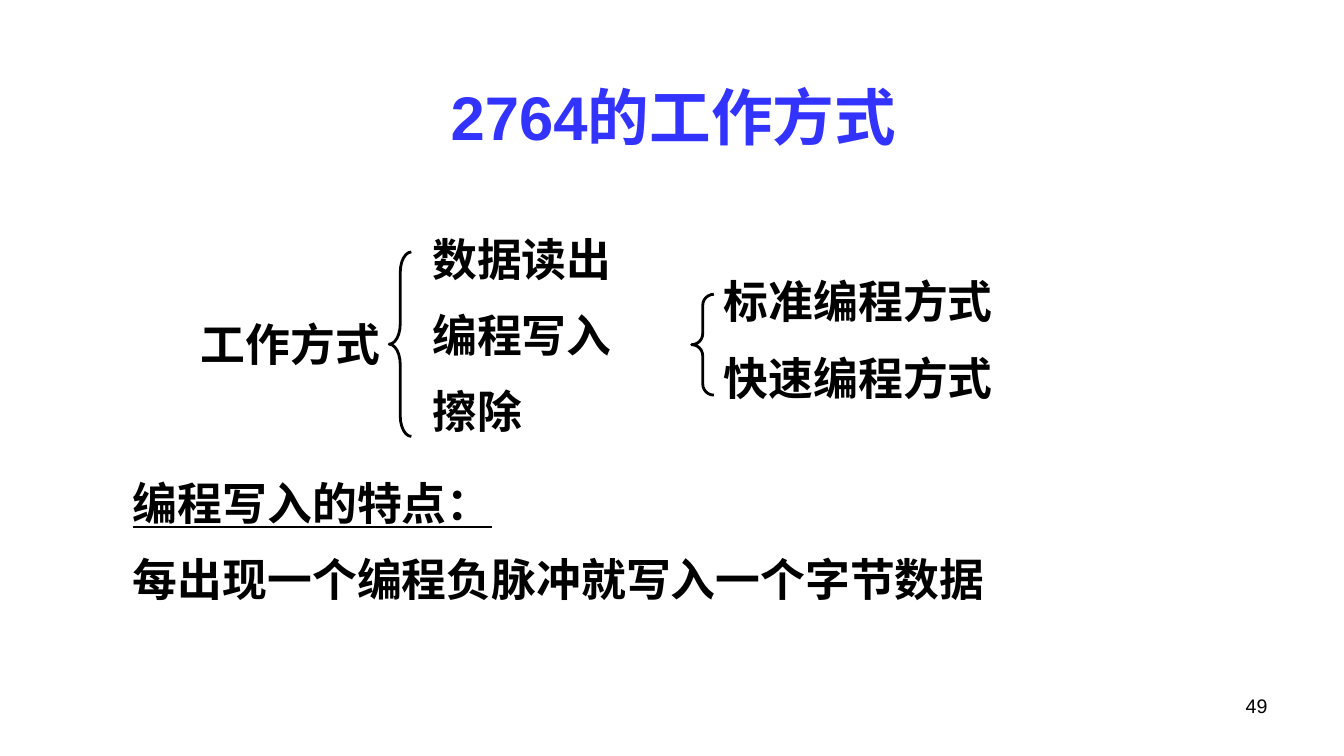
"""Build the slide on the working modes of the 2764 chip."""
from pptx import Presentation, util as u
from pptx.dml.color import RGBColor
from pptx.enum import shapes, text

COLORS = {"title": "3333FF", "ink": "000000"}

deck = Presentation()
deck.slide_width, deck.slide_height = u.Inches(13.33), u.Inches(7.5)
slide = deck.slides.add_slide(deck.slide_layouts[6])

title = {"name": "Arial", "size": u.Pt(44), "bold": True}
body = {"name": "Times New Roman", "size": u.Pt(32), "bold": True}
root = {**body, "name": "Arial"}
number = {"name": "Arial", "size": u.Pt(14)}
LEFT, CENTER, RIGHT = text.PP_ALIGN.LEFT, text.PP_ALIGN.CENTER, text.PP_ALIGN.RIGHT
TOP, MIDDLE = text.MSO_ANCHOR.TOP, text.MSO_ANCHOR.MIDDLE

blocks = [
    ((0.68, 0.52, 12, 1.25), ["2764的工作方式"], title, "title", CENTER, MIDDLE),
    ((4.19, 2.25, 3, 2.23), ["数据读出", "编程写入", "擦除"], body, "ink", LEFT, TOP),
    ((7.08, 2.67, 3.89, 1.43), ["标准编程方式", "快速编程方式"], body, "ink", LEFT, TOP),
    ((1.22, 4.67, 11.67, 1.43), ["编程写入的特点：", "每出现一个编程负脉冲就写入一个字节数据"],
     body, "ink", LEFT, TOP),
    ((1.03, 3.09, 2.84, 0.63), ["工作方式"], root, "ink", RIGHT, TOP),
    ((9.56, 6.83, 3.11, 0.52), ["49"], number, "ink", RIGHT, TOP),
]
for place, lines, style, color, align, anchor in blocks:
    frame = slide.shapes.add_textbox(*map(u.Inches, place)).text_frame
    frame.word_wrap = True
    frame.vertical_anchor = anchor
    frame.text = "\n".join(lines)
    for index, paragraph in enumerate(frame.paragraphs):
        paragraph.alignment = align
        paragraph.space_before = u.Pt(16 if index else 0)
        font = paragraph.runs[0].font
        for key, value in style.items():
            setattr(font, key, value)
        font.color.rgb = RGBColor.from_string(COLORS[color])
        if paragraph.text.endswith("："):
            font.underline = True

for place, curve in [((3.86, 2.5, 0.22, 1.83), 0.92), ((6.86, 2.92, 0.22, 1), 0.5)]:
    brace = slide.shapes.add_shape(shapes.MSO_SHAPE.LEFT_BRACE, *map(u.Inches, place))
    brace.adjustments[0] = curve
    brace.shadow.inherit = False
    brace.fill.background()
    brace.line.color.rgb = RGBColor.from_string(COLORS["ink"])
    brace.line.width = u.Pt(2)

deck.save("out.pptx")
